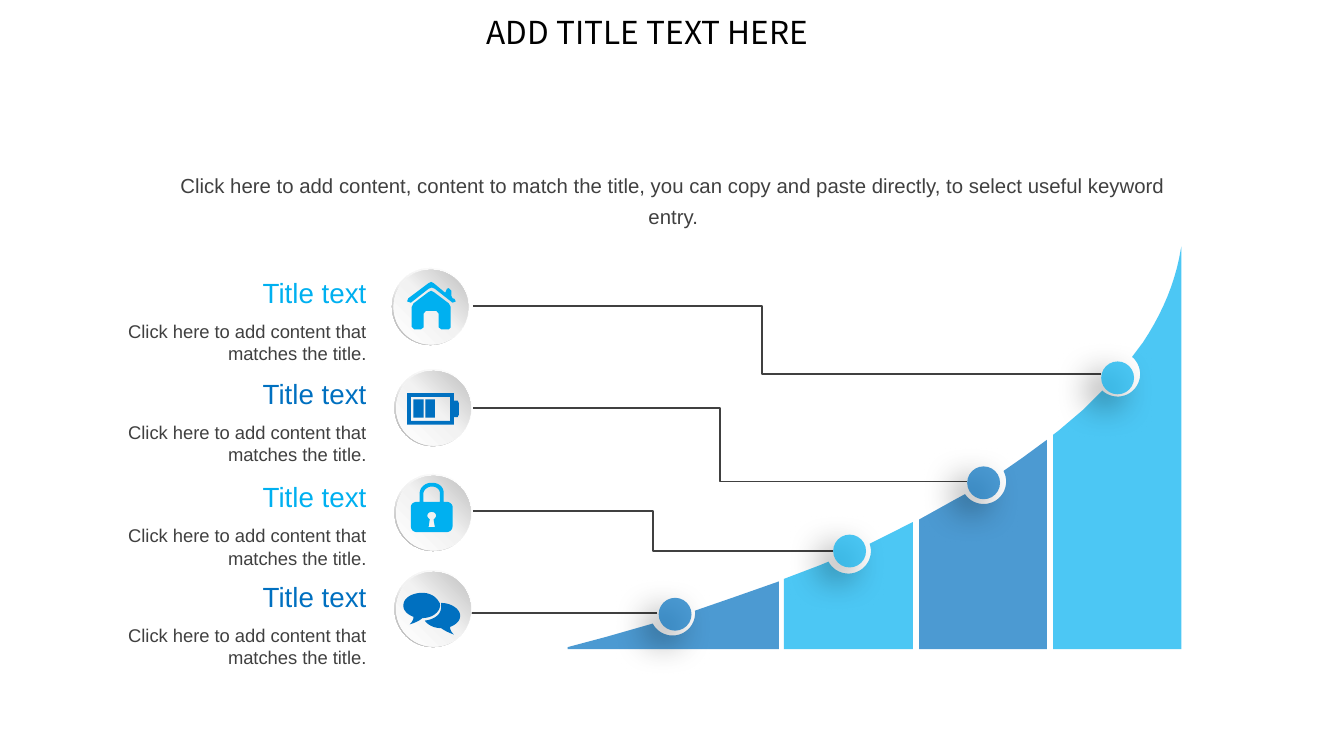
import math
from lxml import etree
from pptx import Presentation
from pptx import util as u
from pptx.dml import color
from pptx.enum import shapes, text
from pptx.oxml import ns

COLUMNS, ROWS = 106.3, 59.1  # grid cells across and down the slide
SKY, BLUE, GREY = "00B0F0", "0070C0", "404040"


def rgb(value):
    return color.RGBColor.from_string(value)


def add_xml(parent, tag, **attributes):
    return etree.SubElement(parent, ns.qn(tag), {k: str(v) for k, v in attributes.items()})


def write(frame, words, size, font="Arial", fill=GREY, align=text.PP_ALIGN.LEFT,
          spacing=None, wrap=True, inset=0.08):
    frame.word_wrap = wrap
    frame.auto_size = text.MSO_AUTO_SIZE.SHAPE_TO_FIT_TEXT
    frame.vertical_anchor = text.MSO_ANCHOR.TOP
    frame.margin_left = frame.margin_right = u.Inches(inset)
    frame.margin_top = frame.margin_bottom = u.Inches(0.04)
    paragraph = frame.paragraphs[0]
    paragraph.alignment = align
    paragraph.line_spacing = spacing
    run = paragraph.add_run()
    run.text = words
    run.font.name, run.font.size = font, u.Pt(size)
    run.font.color.rgb = rgb(fill)


def flatten(steps):
    """Turn points and cubic curves (six numbers) into a list of points."""
    points = []
    for step in steps:
        if len(step) == 2:
            points.append(step)
            continue
        controls = [points[-1], step[:2], step[2:4], step[4:]]
        for n in range(1, 11):
            t = n / 10
            weights = [(1 - t) ** 3, 3 * t * (1 - t) ** 2, 3 * t * t * (1 - t), t ** 3]
            points.append(tuple(sum(w * c[axis] for w, c in zip(weights, controls))
                                for axis in (0, 1)))
    return points


def arc(x, y, radius, start, end, count=24):
    angles = [math.radians(start + (end - start) * n / count) for n in range(count + 1)]
    return [(x + radius * math.cos(a), y + radius * math.sin(a)) for a in angles]


class Board:
    def __init__(self, presentation):
        self.cell_x = presentation.slide_width / COLUMNS
        self.cell_y = presentation.slide_height / ROWS
        self.slide = presentation.slides.add_slide(presentation.slide_layouts[5])
        self.shapes = self.slide.shapes

    def place(self, *values):
        return [round(v * (self.cell_y if n % 2 else self.cell_x))
                for n, v in enumerate(values)]

    def title(self, words, box, **style):
        shape = self.shapes.title
        shape.left, shape.top, shape.width, shape.height = self.place(*box)
        write(shape.text_frame, words, **style)

    def label(self, words, box, **style):
        write(self.shapes.add_textbox(*self.place(*box)).text_frame, words, **style)

    def paint(self, shape, fill, opacity=100):
        shape.shadow.inherit = False
        shape.line.fill.background()
        shape.fill.solid()
        shape.fill.fore_color.rgb = rgb(fill)
        if opacity < 100:
            solid = shape.fill.fore_color._xFill
            add_xml(solid[0], "a:alpha", val=opacity * 1000)
        return shape

    def preset(self, kind, box, fill, opacity=100):
        shape = self.shapes.add_shape(kind, *self.place(*box))
        return self.paint(shape, fill, opacity)

    def gradient(self, shape, stops, angle):
        properties = shape._element.spPr
        solid = properties.find(ns.qn("a:solidFill"))
        fill = etree.Element(ns.qn("a:gradFill"))
        listing = add_xml(fill, "a:gsLst")
        for position, value in stops:
            stop = add_xml(listing, "a:gs", pos=position * 1000)
            add_xml(stop, "a:srgbClr", val=value)
        add_xml(fill, "a:lin", ang=angle * 60000, scaled=0)
        properties.replace(solid, fill)

    def outline(self, contours, fill, opacity=100):
        contours = [[self.place(*p) for p in flatten(c)] for c in contours]
        builder = self.shapes.build_freeform(*contours[0][0], scale=1.0)
        for n, (first, *rest) in enumerate(contours):
            if n:
                builder.move_to(*first)
            builder.add_line_segments(rest, close=True)
        return self.paint(builder.convert_to_shape(), fill, opacity)

    def connector(self, ends, bend=None):
        kind = shapes.MSO_CONNECTOR.ELBOW if bend else shapes.MSO_CONNECTOR.STRAIGHT
        line = self.shapes.add_connector(kind, *self.place(*ends))
        line.line.color.rgb, line.line.width = rgb(GREY), u.Pt(1)
        properties = line._element.spPr
        add_xml(properties, "a:effectLst")
        if bend:
            guides = properties.find(ns.qn("a:prstGeom")).find(ns.qn("a:avLst"))
            add_xml(guides, "a:gd", name="adj1", fmla=f"val {round(bend * 100000)}")

    def button(self, x, y):
        """A pale round button with a thin rim."""
        rim = self.preset(shapes.MSO_SHAPE.DONUT, (x, y, 6.1, 6.1), "F2F2F2")
        rim.adjustments[0] = 0.049
        self.gradient(rim, [(0, "FFFFFF"), (55, "F2F2F2"), (100, "A6A6A6")], 135)
        face = self.preset(shapes.MSO_SHAPE.OVAL, (x + 0.13, y + 0.15, 5.9, 5.9), "F2F2F2")
        self.gradient(face, [(0, "FFFFFF"), (51, "F2F2F2"), (100, "BFBFBF")], 315)

    def marker(self, x, y, fill):
        dot = self.preset(shapes.MSO_SHAPE.OVAL, (x - 1.3, y - 1.3, 2.6, 2.6), fill, 70)
        effects = dot._element.spPr.find(ns.qn("a:effectLst"))
        shadow = add_xml(effects, "a:outerShdw", blurRad=u.Pt(20), dist=u.Pt(10),
                         dir=135 * 60000, algn="tr", rotWithShape=0)
        add_xml(add_xml(shadow, "a:srgbClr", val="000000"), "a:alpha", val=60000)


presentation = Presentation()
presentation.slide_width, presentation.slide_height = u.Inches(10.63), u.Inches(5.91)
board = Board(presentation)
board.title("ADD TITLE TEXT HERE", (37.8, 0.6, 28.9, 3.8), size=18,
            font="Noto Sans CJK SC", fill="000000", inset=0.07)

# Lines from buttons to markers
for ends, bend in [((37.4, 24.2, 87.1, 29.6), 0.46), ((37.4, 40.4, 65.9, 43.6), 0.5),
                   ((37.4, 32.3, 76.5, 38.1), 0.5), ((52, 48.5, 34.4, 48.5), None)]:
    board.connector(ends, bend)

# Icon contours
roof = [(35.8, 23.6), (35.7, 23.4), (35.7, 23), (35.5, 22.8), (35.35, 22.85), (35.25, 23.1),
        (35.2, 23.15), (34.3, 22.4), (34.1, 22.3), (33.9, 22.4), (32.3, 23.6),
        (32.2, 23.85), (32.5, 23.95), (33.9, 22.85), (34.15, 22.75), (34.4, 22.85),
        (35.8, 23.95), (36.05, 23.85), (35.95, 23.65)]
house = [(34.3, 23.1), (34.1, 23), (33.9, 23.1), (32.7, 24), (32.55, 24.3), (32.55, 25.85),
         (32.75, 26.05), (33.3, 26.05), (33.5, 25.9), (33.5, 24.8), (33.7, 24.6),
         (34.5, 24.6), (34.7, 24.8), (34.7, 25.9), (34.9, 26.05), (35.5, 26.05),
         (35.65, 25.9), (35.65, 24.3), (35.5, 24)]
battery = [(32.2, 31.1), (35.9, 31.1), (35.9, 31.7), (36.2, 31.7), (36.3, 31.9),
           (36.3, 32.8), (36.2, 33), (35.9, 33), (35.9, 33.6), (32.2, 33.6)]
battery_hole = [(32.5, 31.4), (32.5, 33.3), (35.6, 33.3), (35.6, 31.4)]
lock = [(35.3, 39.7), (35.1, 39.7), (35.1, 39), (35.1, 38.6, 34.8, 38.2, 34.2, 38.2),
        (34.1, 38.2), (33.6, 38.2, 33.2, 38.6, 33.2, 39), (33.2, 39.7), (33, 39.7),
        (32.7, 39.7, 32.5, 39.9, 32.5, 40.1), (32.5, 41.6),
        (32.5, 41.9, 32.7, 42.1, 33, 42.1), (35.3, 42.1),
        (35.6, 42.1, 35.8, 41.9, 35.8, 41.6), (35.8, 40.1),
        (35.8, 39.9, 35.6, 39.7, 35.3, 39.7)]
keyhole = [(34.4, 41.7), (33.9, 41.7), (34, 41.1), (33.9, 41, 33.8, 40.9, 33.8, 40.8),
           (33.8, 40.4, 34.5, 40.4, 34.5, 40.8), (34.5, 40.9, 34.4, 41, 34.3, 41.1)]
shackle_hole = [(34.8, 39.7), (33.5, 39.7), (33.5, 39), (33.5, 38.8, 33.8, 38.5, 34.1, 38.5),
                (34.2, 38.5), (34.6, 38.5, 34.8, 38.8, 34.8, 39)]
back_bubble = [(36.4, 48.7), (36.4, 48.2, 35.7, 47.7, 34.9, 47.7),
               (34.9, 47.8, 34.9, 47.9, 34.9, 48), (34.9, 48.6, 34.4, 49, 33.6, 49.1),
               (33.8, 49.4, 34.3, 49.7, 34.9, 49.7), (35.3, 50, 35.9, 50.2, 35.9, 50.2),
               (35.6, 49.9, 35.6, 49.7, 35.6, 49.6), (36.1, 49.4, 36.4, 49.1, 36.4, 48.7)]
front_bubble = [(34.7, 47.6), (34.5, 47.2, 34, 46.9, 33.4, 46.9),
                (32.6, 46.9, 31.9, 47.3, 31.9, 47.9), (31.9, 48.3, 32.2, 48.6, 32.7, 48.8),
                (32.7, 48.9, 32.7, 49.1, 32.4, 49.4), (32.4, 49.4, 33.1, 49.2, 33.4, 48.9),
                (34.2, 48.9, 34.8, 48.4, 34.8, 47.9), (34.8, 47.8, 34.8, 47.7, 34.7, 47.6)]

# Items: colour, button corner, heading top, icon outlines
items = [(SKY, (31, 21.2), 21.4, [[roof], [house]]),
         (BLUE, (31.2, 29.2), 29.4, [[battery, battery_hole]]),
         (SKY, (31.2, 37.5), 37.6, [[lock, keyhole, shackle_hole]]),
         (BLUE, (31.2, 45.1), 45.5, [[back_bubble], [front_bubble]])]
right = text.PP_ALIGN.RIGHT
for fill, corner, top, icon in items:
    board.button(*corner)
    for contours in icon:
        board.outline(contours, fill)
    board.label("Title text", (19.9, top, 9.9, 3.4), size=15.8, fill=fill,
                align=right, wrap=False)
    board.label("Click here to add content that matches the title.",
                (5.1, top + 3.5, 24.7, 4.3), size=10.5, align=right)
for x, width in [(32.7, 0.8), (33.65, 0.75)]:
    board.preset(shapes.MSO_SHAPE.RECTANGLE, (x, 31.6, width, 1.45), BLUE)

board.label("Click here to add content, content to match the title, you can copy and "
            "paste directly, to select useful keyword entry.",
            (11.9, 12.7, 82.7, 5.6), size=11.6, align=text.PP_ALIGN.CENTER, spacing=1.3)

# Growth bars: colour, rising edge before and after the notch, notch and its angles, marker
bars = [(BLUE, [(44.9, 51.2), (47.9, 50.4), (51.4, 49.4)], [(57.9, 47.3), (61.6, 46)],
         (53.2, 48.5), (152, -6), (53.4, 48.6)),
        (SKY, [(62, 45.8), (64.9, 44.7)], [(72.2, 41.3)],
         (67.1, 43.6), (152, -19), (67.2, 43.6)),
        (BLUE, [(72.7, 41.1), (75.4, 39.6)], [(80.9, 36.2), (82.8, 34.8)],
         (77.8, 38.1), (146, -28), (77.8, 38.2)),
        (SKY, [(83.3, 34.4), (83.7, 34.1), (85.7, 32.4)],
         [(90.4, 27.1), (92, 24.7, 93, 22.2, 93.4, 19.7), (93.45, 19.5)],
         (88.4, 29.6), (133, -50), (88.4, 29.9))]
for fill, before, after, notch, angles, _ in bars:
    base = [(after[-1][0], 51.35), (before[0][0], 51.35)]
    board.outline([before + arc(*notch, 1.78, *angles) + after + base], fill, 70)
for fill, *_, centre in bars:
    board.marker(*centre, fill)

presentation.save("out.pptx")
